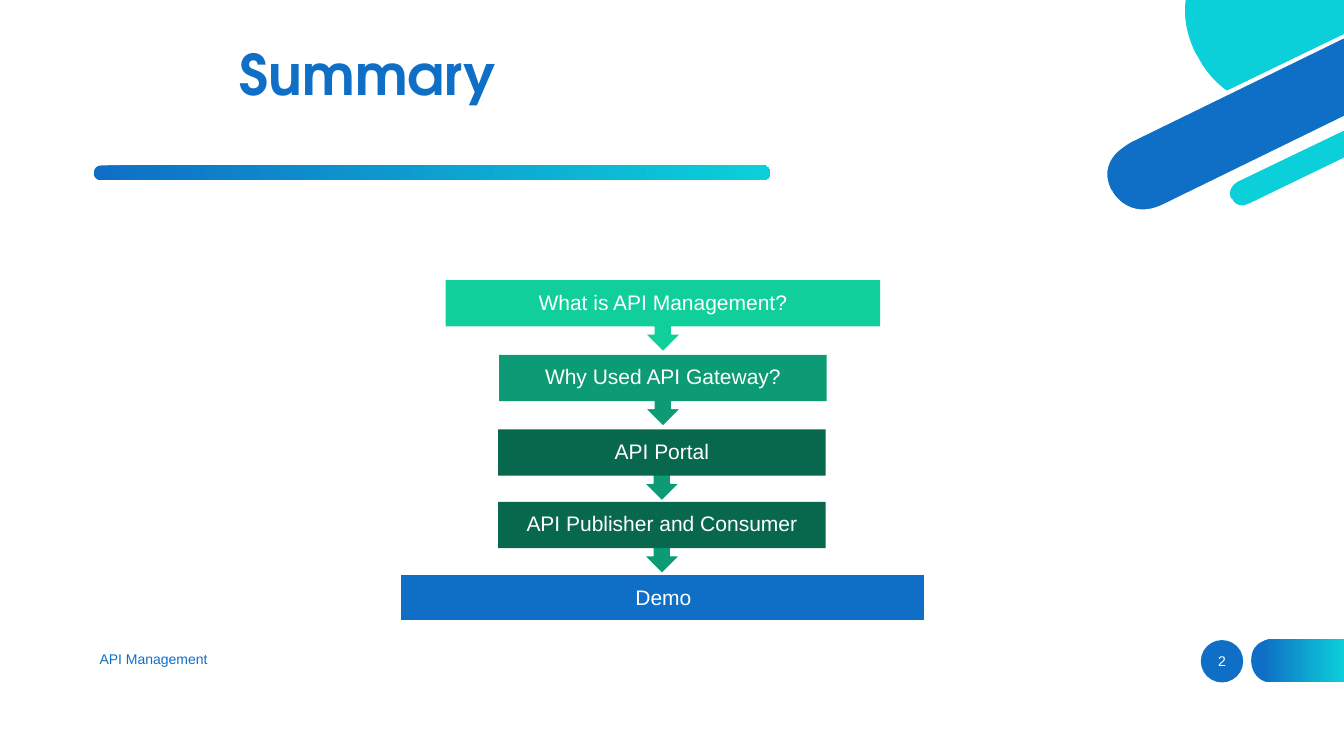
from lxml.etree import SubElement
from pptx import Presentation
from pptx.dml.color import RGBColor
from pptx.enum.shapes import MSO_SHAPE
from pptx.enum.text import MSO_ANCHOR, PP_ALIGN
from pptx.oxml.ns import qn
from pptx.util import Inches, Pt

BLUE, CYAN, WHITE = "0F6FC6", "0BD0D9", "FFFFFF"
MINT, GREEN, DARK = "10CF9B", "0C9B74", "08684E"

STEPS = [
    ("What is API Management?", 4.42, 2.78, 4.31, MINT, MINT),
    ("Why Used API Gateway?", 4.95, 3.52, 3.25, GREEN, GREEN),
    ("API Portal", 4.94, 4.26, 3.25, GREEN, DARK),
    ("API Publisher and Consumer", 4.94, 4.98, 3.25, GREEN, DARK),
]

TAB = [(12.62, 6.77), (13.34, 6.77), (13.34, 6.34), (12.62, 6.34),
       (12.62, 6.34, 12.41, 6.34, 12.41, 6.55), (12.41, 6.56),
       (12.41, 6.56, 12.41, 6.77, 12.62, 6.77)]

BAR = [(7.56, 1.79), (1.01, 1.79), (0.96, 1.79, 0.93, 1.76, 0.93, 1.72),
       (0.93, 1.72), (0.93, 1.67, 0.96, 1.64, 1.01, 1.64), (7.56, 1.64),
       (7.6, 1.64, 7.64, 1.67, 7.64, 1.72), (7.64, 1.72),
       (7.64, 1.76, 7.6, 1.79, 7.56, 1.79)]

CORNER = [
    (WHITE, [(13.33, 0.81), (13.06, 0.94),
             (12.74, 1.1, 12.44, 1.08, 12.19, 0.89),
             (11.99, 0.74, 11.89, 0.55, 11.89, 0.55), (11.88, 0.52),
             (11.79, 0.34, 11.75, 0.16, 11.78, 0), (11.74, 0),
             (11.71, 0.17, 11.75, 0.35, 11.84, 0.54), (11.86, 0.57),
             (11.86, 0.58, 11.96, 0.77, 12.16, 0.92),
             (12.28, 1.01, 12.44, 1.09, 12.65, 1.09),
             (12.77, 1.09, 12.91, 1.06, 13.08, 0.98), (13.33, 0.86)]),
    (BLUE, [(11.21, 1.39), (11.21, 1.39, 10.85, 1.57, 11.01, 1.89),
            (11.01, 1.9), (11.01, 1.9, 11.17, 2.22, 11.54, 2.04),
            (13.33, 1.17), (13.33, 0.36)]),
    (CYAN, [(11.88, 0.56), (11.88, 0.56, 11.97, 0.76, 12.17, 0.9),
            (13.33, 0.34), (13.34, 0), (11.76, 0),
            (11.74, 0.15, 11.76, 0.33, 11.86, 0.53)]),
    (CYAN, [(13.34, 1.26), (12.27, 1.78),
            (12.27, 1.78, 12.13, 1.85, 12.2, 1.97), (12.2, 1.98),
            (12.2, 1.98, 12.26, 2.11, 12.4, 2.04), (13.34, 1.58)]),
    (WHITE, [(12.39, 2.02), (12.27, 2.08, 12.22, 1.98, 12.22, 1.97),
             (12.21, 1.97), (12.16, 1.86, 12.28, 1.8, 12.28, 1.8),
             (13.34, 1.29), (13.34, 1.24), (12.26, 1.76),
             (12.26, 1.76, 12.19, 1.8, 12.17, 1.87),
             (12.15, 1.91, 12.16, 1.95, 12.18, 1.99),
             (12.2, 2.03, 12.25, 2.08, 12.32, 2.08),
             (12.35, 2.08, 12.38, 2.08, 12.41, 2.06),
             (13.34, 1.61), (13.34, 1.56)]),
    (WHITE, [(11.53, 2.03), (11.19, 2.19, 11.03, 1.9, 11.03, 1.89),
             (11.02, 1.88), (10.96, 1.75, 10.97, 1.64, 11.06, 1.53),
             (11.13, 1.46, 11.22, 1.41, 11.22, 1.41), (13.33, 0.38),
             (13.33, 0.34), (11.2, 1.37),
             (11.19, 1.38, 11.02, 1.46, 10.96, 1.63),
             (10.93, 1.71, 10.94, 1.8, 10.99, 1.9), (10.99, 1.91),
             (10.99, 1.91, 11.1, 2.12, 11.33, 2.12),
             (11.39, 2.12, 11.46, 2.1, 11.54, 2.06),
             (13.33, 1.19), (13.33, 1.15)]),
]


def color(code):
    return RGBColor.from_string(code)


def paint(shape, fill, line=None):
    shape.shadow.inherit = False
    shape.fill.solid()
    shape.fill.fore_color.rgb = color(fill)
    if line:
        shape.line.color.rgb = color(line)
        shape.line.width = Pt(1)
    else:
        shape.line.fill.background()
    return shape


def blend(shape, start=0):
    shape.fill.gradient()
    shape.fill.gradient_angle = 0
    for stop, code, place in zip(shape.fill.gradient_stops,
                                 (BLUE, CYAN), (start, 1)):
        stop.color.rgb = color(code)
        stop.position = place


def block(shapes, kind, box, fill, line=None):
    shape = shapes.add_shape(kind, *map(Inches, box))
    return paint(shape, fill, line)


def curve(shapes, parts, fill):
    ends = [(Inches(part[-2]), Inches(part[-1])) for part in parts]
    form = shapes.build_freeform(*ends[0])
    form.add_line_segments(ends[1:], close=True)
    shape = form.convert_to_shape()
    left, top = (min(axis) for axis in zip(*ends))
    lines = list(shape._element.iter(qn("a:lnTo")))
    for line, part in zip(lines, parts[1:]):
        if len(part) == 6:
            line.clear()
            line.tag = qn("a:cubicBezTo")
            for x, y in zip(part[::2], part[1::2]):
                SubElement(line, qn("a:pt"), x=str(Inches(x) - left),
                           y=str(Inches(y) - top))
    return paint(shape, fill)


def write(shape, text, size=15, tint=WHITE, font="Arial", bold=False,
          align=PP_ALIGN.CENTER, pad=(0.12, 0.12, 0.12, 0.12), space=0.9):
    frame = shape.text_frame
    frame.word_wrap = True
    frame.vertical_anchor = MSO_ANCHOR.MIDDLE
    (frame.margin_left, frame.margin_top,
     frame.margin_right, frame.margin_bottom) = map(Inches, pad)
    para = frame.paragraphs[0]
    para.alignment = align
    para.line_spacing = space
    run = para.add_run()
    run.text = text
    run.font.size = Pt(size)
    run.font.name = font
    run.font.bold = bold
    run.font.color.rgb = color(tint)


def label(shapes, text, box, **style):
    shape = shapes.add_textbox(*map(Inches, box))
    write(shape, text, space=1.0, **style)


def decor(shapes):
    block(shapes, MSO_SHAPE.OVAL, (11.91, 6.35, 0.42, 0.42), BLUE)
    blend(curve(shapes, TAB, BLUE), 0.12)
    group = shapes.add_group_shape().shapes
    for fill, parts in CORNER:
        curve(group, parts, fill)
    blend(curve(shapes, BAR, BLUE))


def finish(shapes):
    group = shapes.add_group_shape().shapes
    block(group, MSO_SHAPE.RECTANGLE, (3.97, 5.7, 5.2, 0.46), BLUE, WHITE)
    demo = block(group, MSO_SHAPE.RECTANGLE, (4.08, 5.81, 5, 0.25), BLUE)
    write(demo, "Demo")


def stage(shapes, text, left, top, width, arrow, fill):
    group = shapes.add_group_shape().shapes
    call = block(group, MSO_SHAPE.UP_ARROW_CALLOUT,
                 (left, top, width, 0.71), arrow, WHITE)
    call.rotation = 180
    step = block(group, MSO_SHAPE.RECTANGLE, (left, top, width, 0.46), fill)
    write(step, text)


def main():
    deck = Presentation()
    deck.slide_width, deck.slide_height = Inches(13.33), Inches(7.5)
    shapes = deck.slides.add_slide(deck.slide_layouts[6]).shapes
    decor(shapes)
    inset = (0.1, 0.05, 0.1, 0.05)
    label(shapes, "API Management", (0.89, 6.34, 4.5, 0.4), size=10,
          tint=BLUE, align=PP_ALIGN.LEFT, pad=inset)
    label(shapes, "2", (11.82, 6.36, 0.6, 0.4), size=10, pad=inset)
    finish(shapes)
    for step in STEPS:
        stage(shapes, *step)
    label(shapes, "Summary", (2.18, 0.36, 5.07, 0.74), size=40, tint=BLUE,
          font="TeX Gyre Adventor", bold=True, align=PP_ALIGN.LEFT,
          pad=(0.2, 0.05, 0, 0.05))
    deck.save("out.pptx")


if __name__ == "__main__":
    main()
